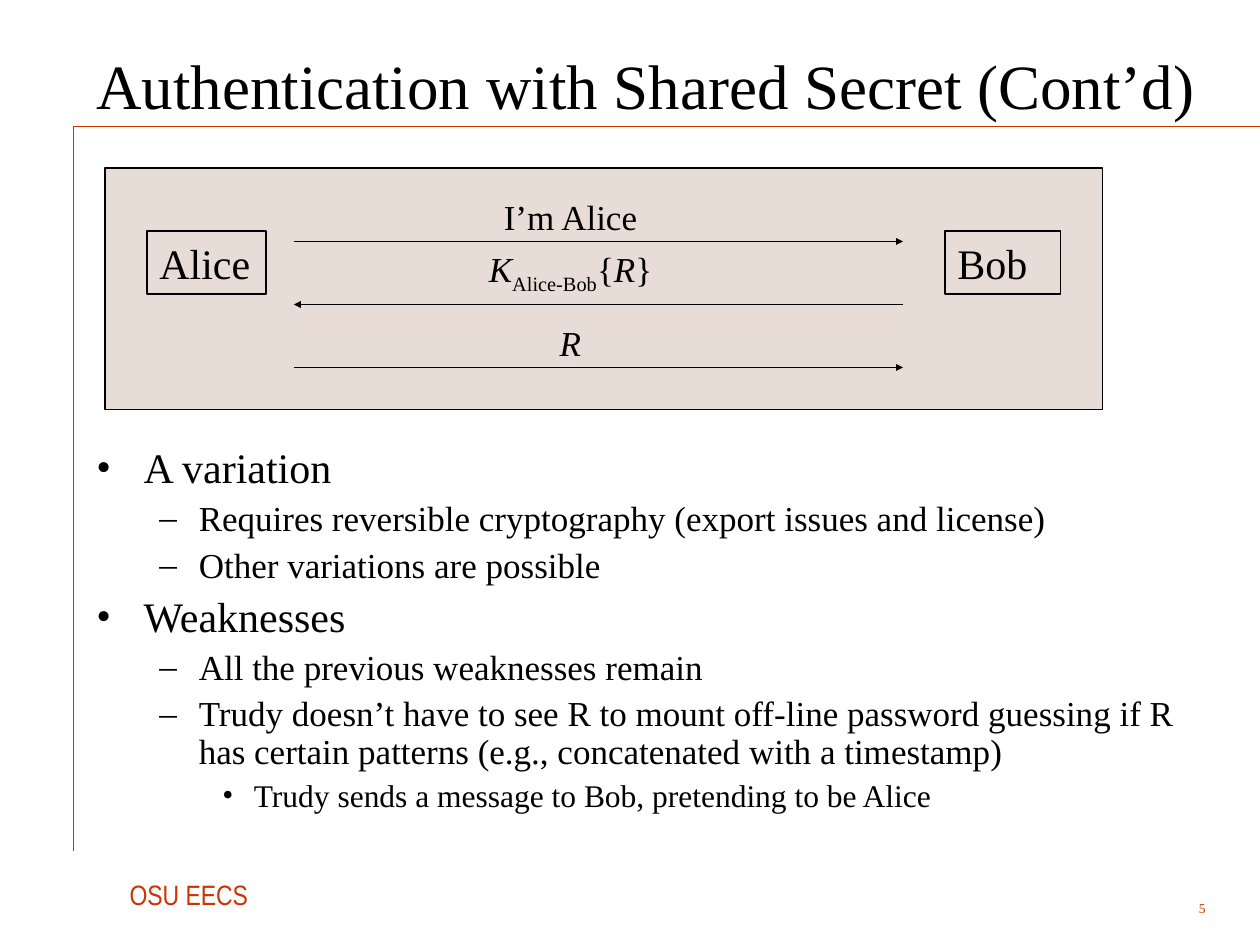
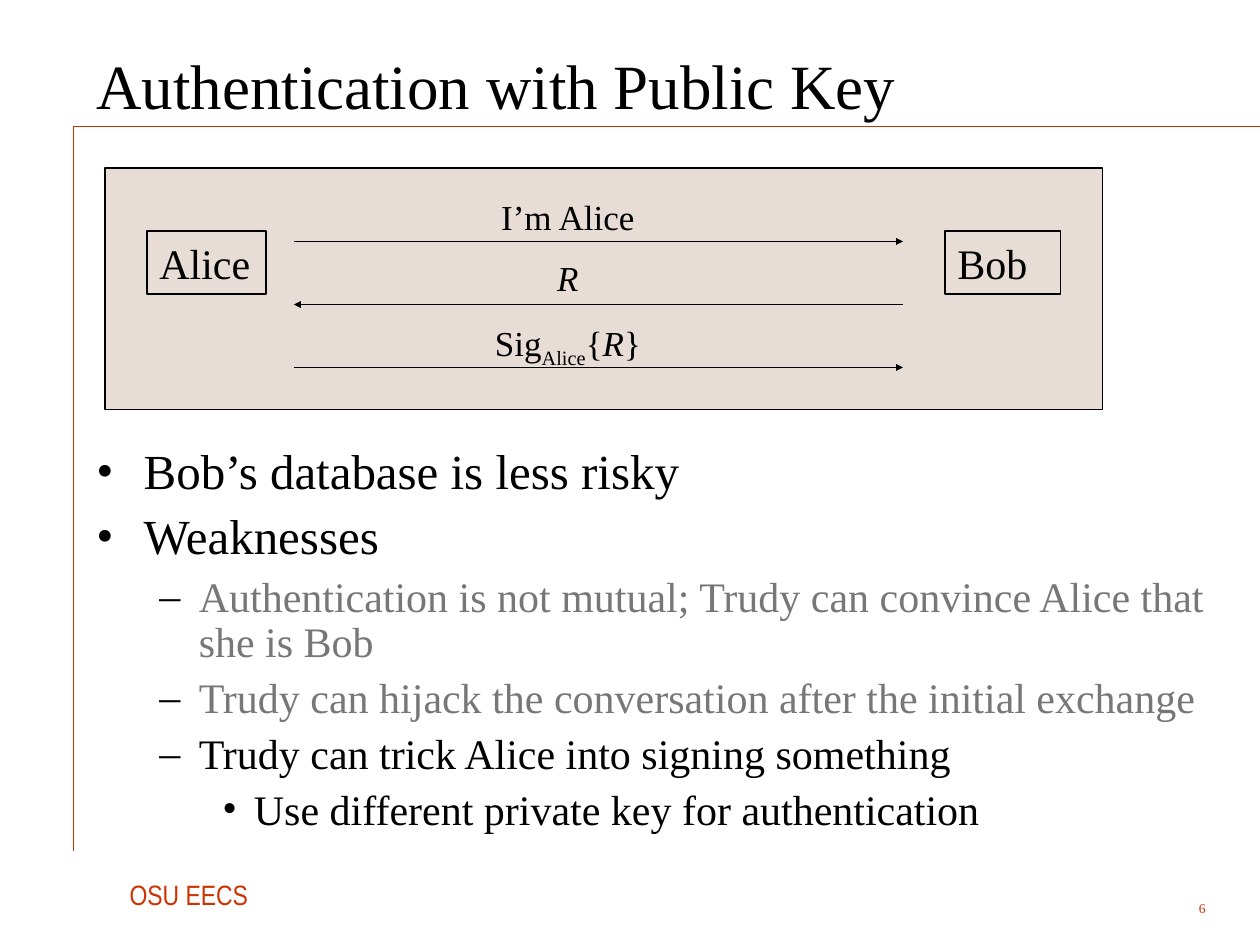
from dataclasses import dataclass

from lxml import etree
from pptx import Presentation
from pptx.dml.color import RGBColor
from pptx.enum.shapes import MSO_CONNECTOR, MSO_SHAPE
from pptx.enum.text import MSO_ANCHOR, PP_ALIGN
from pptx.oxml.ns import qn
from pptx.util import Pt

RECT = MSO_SHAPE.RECTANGLE
STRAIGHT = MSO_CONNECTOR.STRAIGHT
LEFT, CENTER, RIGHT = PP_ALIGN.LEFT, PP_ALIGN.CENTER, PP_ALIGN.RIGHT
TOP, MIDDLE = MSO_ANCHOR.TOP, MSO_ANCHOR.MIDDLE


@dataclass(frozen=True)
class Theme:
    ink: str = "000000"
    accent: str = "CC3300"
    panel: str = "E8DCD6"
    muted: str = "777777"
    serif: str = "Times New Roman"
    narrow: str = "Arial Narrow"
    title: float = 36
    party: float = 24
    message: float = 20
    footer: float = 16
    number: float = 7.7


THEME = Theme()

# Bullet character, left margin and hanging indent for each outline level
LEVELS = [("•", 27, 27), ("–", 58.5, 22.5), ("•", 90, 18)]


# --- Text ---
def style(font, size, color=THEME.ink, name=THEME.serif):
    font.size, font.name = Pt(size), name
    font.color.rgb = RGBColor.from_string(color)


def add_text(slide, text, box, size, color=THEME.ink, name=THEME.serif,
             align=LEFT, anchor=TOP, wrap=True):
    sp = slide.shapes.add_textbox(*map(Pt, box))
    tf = sp.text_frame
    tf.word_wrap, tf.vertical_anchor = wrap, anchor
    p = tf.paragraphs[0]
    p.text, p.alignment = text, align
    for r in p.runs:
        style(r.font, size, color, name)
    return p


def add_bullet(p, level, size, text, color):
    char, margin, hang = LEVELS[level]
    p.text, p.level, p.line_spacing = text, level, 0.9
    pPr = p._p.get_or_add_pPr()
    pPr.set("marL", str(Pt(margin)))
    pPr.set("indent", str(-Pt(hang)))
    clr = etree.SubElement(pPr, qn("a:buClr"))
    etree.SubElement(clr, qn("a:srgbClr"), val=THEME.ink)
    etree.SubElement(pPr, qn("a:buFont"), typeface=THEME.serif)
    etree.SubElement(pPr, qn("a:buChar"), char=char)
    style(p.runs[0].font, size, color)


def add_outline(slide, items, sizes):
    sp = slide.shapes.add_textbox(Pt(48), Pt(252), Pt(650), Pt(234))
    tf = sp.text_frame
    tf.word_wrap = True
    for i, (level, text, color) in enumerate(items):
        p = tf.add_paragraph() if i else tf.paragraphs[0]
        if i:
            p.space_before = Pt(sizes[level] / 4)
        add_bullet(p, level, sizes[level], text, color)


# --- Lines and boxes ---
def add_line(slide, x1, y1, x2, y2, color=THEME.ink, width=1, arrow=False):
    cn = slide.shapes.add_connector(STRAIGHT, Pt(x1), Pt(y1), Pt(x2), Pt(y2))
    cn.line.color.rgb = RGBColor.from_string(color)
    cn.line.width = Pt(width)
    spPr = cn.element.spPr
    if arrow:
        etree.SubElement(spPr.find(qn("a:ln")), qn("a:tailEnd"),
                         type="triangle", w="sm", len="sm")
    etree.SubElement(spPr, qn("a:effectLst"))


def add_box(slide, box, fill=None, text=""):
    sp = slide.shapes.add_shape(RECT, *map(Pt, box))
    sp.shadow.inherit = False
    if fill:
        sp.fill.solid()
        sp.fill.fore_color.rgb = RGBColor.from_string(fill)
    else:
        sp.fill.background()
    sp.line.color.rgb = RGBColor.from_string(THEME.ink)
    sp.line.width = Pt(1)
    if text:
        tf = sp.text_frame
        tf.text, tf.vertical_anchor = text, TOP
        p = tf.paragraphs[0]
        p.alignment = LEFT
        style(p.runs[0].font, THEME.party)


# --- Protocol diagram ---
def add_message(slide, center, top, width, parts):
    box = (center - width / 2, top, width, 32)
    p = add_text(slide, "", box, THEME.message, align=CENTER, wrap=False)
    for text, kind in parts:
        r = p.add_run()
        r.text = text
        style(r.font, THEME.message)
        r.font.italic = kind == "italic"
        if kind == "sub":
            r.font._element.set("baseline", "-25000")


def add_exchange(slide, center, messages):
    add_box(slide, (60, 96, 570, 138), THEME.panel)
    add_box(slide, (84, 132, 68, 36), text="Alice")
    add_box(slide, (540, 132, 66, 36), text="Bob")
    for i, message in enumerate(messages):
        y = 138 + 36 * i
        ends = (516, 168) if i % 2 else (168, 516)
        add_line(slide, ends[0], y, ends[1], y, arrow=True)
        add_message(slide, center, *message)


# --- Shared slide frame ---
def new_slide(prs, title, number):
    slide = prs.slides.add_slide(prs.slide_layouts[6])
    add_line(slide, 42, 72, 720, 72, THEME.accent, 0.25)
    add_line(slide, 42, 72, 42, 486, THEME.accent, 0.75)
    add_text(slide, "OSU EECS", (67, 498, 86, 27), THEME.footer, THEME.accent,
             THEME.narrow, wrap=False)
    add_text(slide, str(number), (636, 510, 60, 18), THEME.number, THEME.accent,
             align=RIGHT, anchor=MIDDLE)
    add_text(slide, title, (48, 12, 649, 72), THEME.title, anchor=MIDDLE)
    return slide


def main():
    prs = Presentation()
    prs.slide_width, prs.slide_height = Pt(720), Pt(540)
    greeting = (108, 96, [("I’m Alice", "")])
    nonce = [("R", "italic")]
    braced = [("{", ""), ("R", "italic"), ("}", "")]

    # Shared secret
    slide = new_slide(prs, "Authentication with Shared Secret (Cont’d)", 5)
    add_exchange(slide, 326, [
        greeting,
        (138, 120, [("K", "italic"), ("Alice-Bob", "sub")] + braced),
        (180, 30, nonce),
    ])
    add_outline(slide, [
        (0, "A variation", THEME.ink),
        (1, "Requires reversible cryptography (export issues and license)", THEME.ink),
        (1, "Other variations are possible", THEME.ink),
        (0, "Weaknesses", THEME.ink),
        (1, "All the previous weaknesses remain", THEME.ink),
        (1, "Trudy doesn’t have to see R to mount off-line password guessing if R "
            "has certain patterns (e.g., concatenated with a timestamp)", THEME.ink),
        (2, "Trudy sends a message to Bob, pretending to be Alice", THEME.ink),
    ], (24, 20, 18))

    # Public key
    slide = new_slide(prs, "Authentication with Public Key", 6)
    add_exchange(slide, 324.5, [
        greeting,
        (143, 30, nonce),
        (180, 106, [("Sig", ""), ("Alice", "sub")] + braced),
    ])
    add_outline(slide, [
        (0, "Bob’s database is less risky", THEME.ink),
        (0, "Weaknesses", THEME.ink),
        (1, "Authentication is not mutual; Trudy can convince Alice that she is Bob",
         THEME.muted),
        (1, "Trudy can hijack the conversation after the initial exchange",
         THEME.muted),
        (1, "Trudy can trick Alice into signing something", THEME.ink),
        (2, "Use different private key for authentication", THEME.ink),
    ], (28, 24, 24))

    prs.save("out.pptx")


if __name__ == "__main__":
    main()
